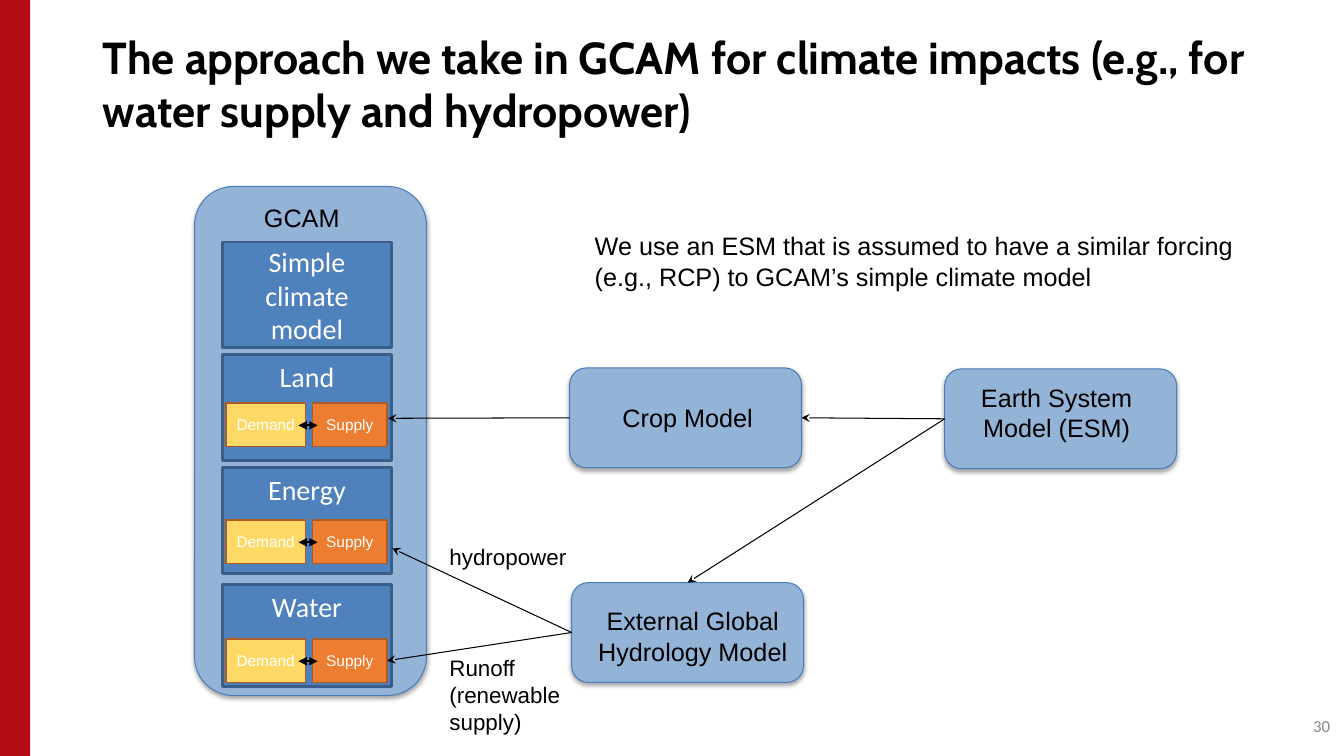
from pptx import Presentation
from pptx.dml.color import RGBColor
from pptx.enum.shapes import MSO_CONNECTOR as Link, MSO_SHAPE as Form
from pptx.enum.text import MSO_ANCHOR as Anchor, PP_ALIGN as Align
from pptx.oxml.ns import qn
from pptx.util import Inches, Pt
from lxml.etree import SubElement as Sub

BLACK = RGBColor(0x00, 0x00, 0x00)
WHITE = RGBColor(0xFF, 0xFF, 0xFF)
GRAY = RGBColor(0x88, 0x88, 0x88)
RED = RGBColor(0xB3, 0x0D, 0x15)
PALE = RGBColor(0x93, 0xB3, 0xD7)
EDGE = RGBColor(0x4A, 0x7D, 0xBA)
BLUE = RGBColor(0x4F, 0x81, 0xBD)
NAVY = RGBColor(0x39, 0x5E, 0x89)
GOLD = RGBColor(0xFF, 0xD9, 0x66)
ORANGE = RGBColor(0xED, 0x7D, 0x31)
BROWN = RGBColor(0xAC, 0x5B, 0x23)


class Board:
    base = {"name": "Arial", "size": Pt(18), "bold": False}

    def __init__(self, deck):
        self.slide = deck.slides.add_slide(deck.slide_layouts[6])
        self.shapes = self.slide.shapes

    def fill_text(self, shape, text, color=BLACK, align=Align.LEFT,
                  anchor=Anchor.TOP, **style):
        frame = shape.text_frame
        frame.word_wrap = True
        frame.vertical_anchor = anchor
        frame.text = text
        for para in frame.paragraphs:
            para.alignment = align
            for key, value in {**self.base, **style}.items():
                setattr(para.font, key, value)
            para.font.color.rgb = color

    def label(self, at, text, **style):
        box = self.shapes.add_textbox(*map(Inches, at))
        self.fill_text(box, text, **style)

    def block(self, at, fill, edge=None, width=1, form=Form.RECTANGLE):
        shape = self.shapes.add_shape(form, *map(Inches, at))
        shape.shadow.inherit = False
        shape.fill.solid()
        shape.fill.fore_color.rgb = fill
        if edge is None:
            shape.line.fill.background()
        else:
            shape.line.color.rgb = edge
            shape.line.width = Pt(width)
        return shape

    def panel(self, at):
        shape = self.block(at, PALE, EDGE, 0.75, Form.ROUNDED_RECTANGLE)
        shape.adjustments[0] = 0.167
        glow = shape._element.spPr.find(qn("a:effectLst"))
        cast = Sub(glow, qn("a:outerShdw"), blurRad=str(Pt(3.1)),
                   dist=str(Pt(1.8)), dir="5400000", rotWithShape="0")
        tint = Sub(cast, qn("a:srgbClr"), val="000000")
        Sub(tint, qn("a:alpha"), val="35000")
        return shape

    def arrow(self, start, end, width=0.75, head=None, tail="stealth",
              source=None, target=None):
        line = self.shapes.add_connector(Link.STRAIGHT, *map(Inches, start + end))
        if source:
            line.begin_connect(*source)
        if target:
            line.end_connect(*target)
        line.line.color.rgb = BLACK
        line.line.width = Pt(width)
        stroke = line.get_or_add_ln()
        for tag, kind in (("a:headEnd", head), ("a:tailEnd", tail)):
            if kind:
                Sub(stroke, qn(tag), type=kind)
        Sub(line._element.spPr, qn("a:effectLst"))

    def sector(self, name, top, high, row=None):
        box = self.block((2.21, top, 1.67, high), BLUE, NAVY, 2)
        anchor = Anchor.TOP if row else Anchor.MIDDLE
        self.fill_text(box, name, color=WHITE, align=Align.CENTER,
                       anchor=anchor, name="Calibri", size=Pt(20))
        if not row:
            return None
        for text, left, wide, fill in (("Demand", 2.24, 0.79, GOLD),
                                       ("Supply", 3.1, 0.74, ORANGE)):
            part = self.block((left, row, wide, 0.43), fill, BROWN)
            self.fill_text(part, text, color=WHITE, align=Align.CENTER,
                           anchor=Anchor.MIDDLE, size=Pt(11))
        mid = row + 0.22
        self.arrow((2.96, mid), (3.15, mid), 1.25, "triangle", "triangle")
        return part


def main():
    deck = Presentation()
    deck.slide_width, deck.slide_height = Inches(13.33), Inches(7.5)
    board = Board(deck)

    board.block((0, 0, 0.3, 7.5), RED)
    board.label((10.29, 7, 3, 0.4), "30", color=GRAY, align=Align.RIGHT,
                anchor=Anchor.MIDDLE, name="Calibri", size=Pt(12))
    board.label((0.92, 0.28, 11.92, 1.09),
                "The approach we take in GCAM for climate impacts "
                "(e.g., for water supply and hydropower)",
                anchor=Anchor.MIDDLE, name="Cabin", size=Pt(32), bold=True)

    board.panel((1.93, 1.85, 2.3, 5.05))
    board.label((2.52, 1.96, 1.5, 0.4), "GCAM")
    board.sector("Simple climate model", 2.4, 1.05)
    board.sector("Land", 3.52, 1.05, 4)
    board.sector("Energy", 4.64, 1.05, 5.16)
    water = board.sector("Water", 5.8, 1.01, 6.34)

    earth = board.panel((9.37, 3.66, 2.3, 0.99))
    crop = board.panel((5.65, 3.65, 2.3, 0.99))
    hydro = board.panel((5.67, 5.78, 2.3, 0.99))
    for left, top, high, text in (
            (9.41, 3.74, 0.71, "Earth System Model (ESM)"),
            (5.75, 3.94, 0.4, "Crop Model"),
            (5.8, 5.96, 0.71, "External Global Hydrology Model")):
        board.label((left, top, 2.14, high), text, align=Align.CENTER)

    board.label((5.8, 2.24, 6.71, 0.71),
                "We use an ESM that is assumed to have a similar forcing "
                "(e.g., RCP) to GCAM’s simple climate model")
    board.label((4.36, 5.34, 1.96, 0.37), "hydropower", size=Pt(16))
    board.label((4.36, 6.44, 1.97, 0.91), "Runoff\n(renewable supply)",
                size=Pt(16))

    board.arrow((9.37, 4.15), (7.95, 4.14), source=(earth, 1), target=(crop, 3))
    board.arrow((9.37, 4.15), (6.82, 5.78), source=(earth, 1), target=(hydro, 0))
    board.arrow((5.65, 4.15), (3.85, 4.15), source=(crop, 1))
    board.arrow((5.67, 6.28), (3.89, 5.44), source=(hydro, 1))
    board.arrow((5.67, 6.28), (3.85, 6.56), source=(hydro, 1), target=(water, 3))

    deck.save("out.pptx")


if __name__ == "__main__":
    main()
